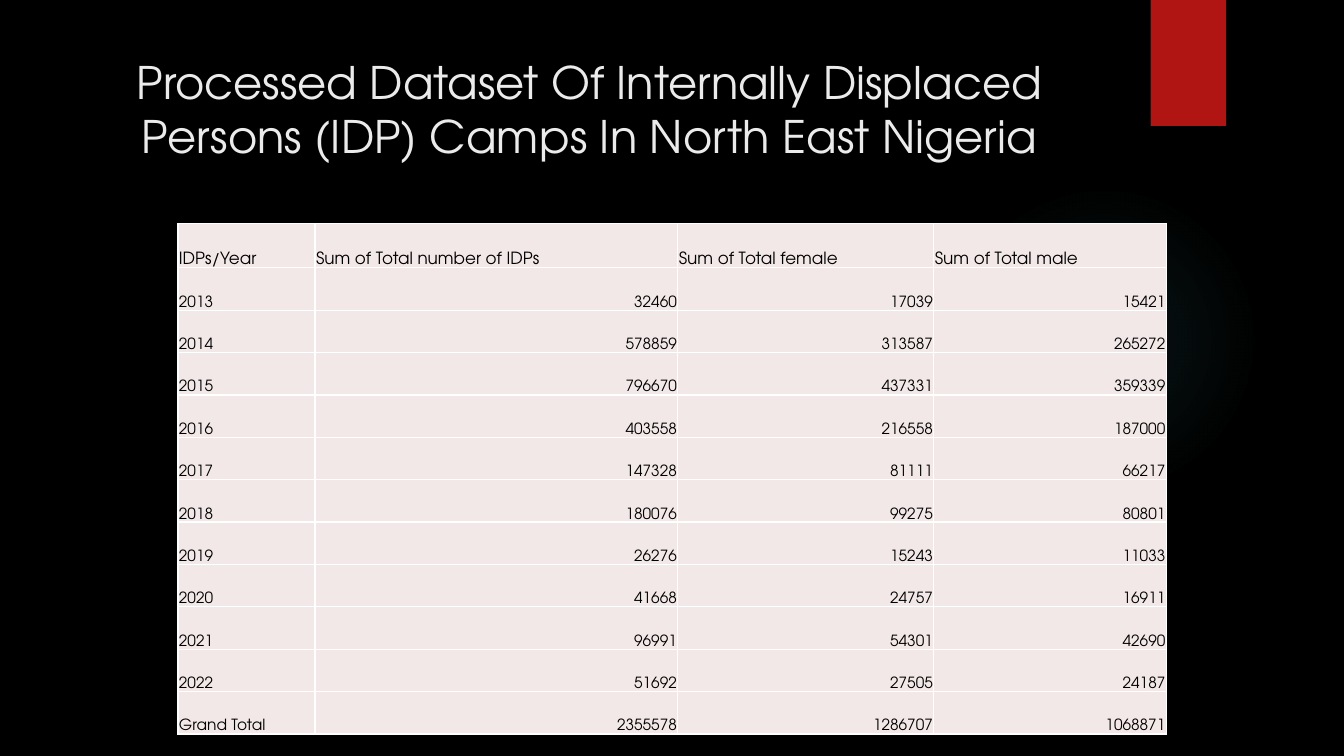
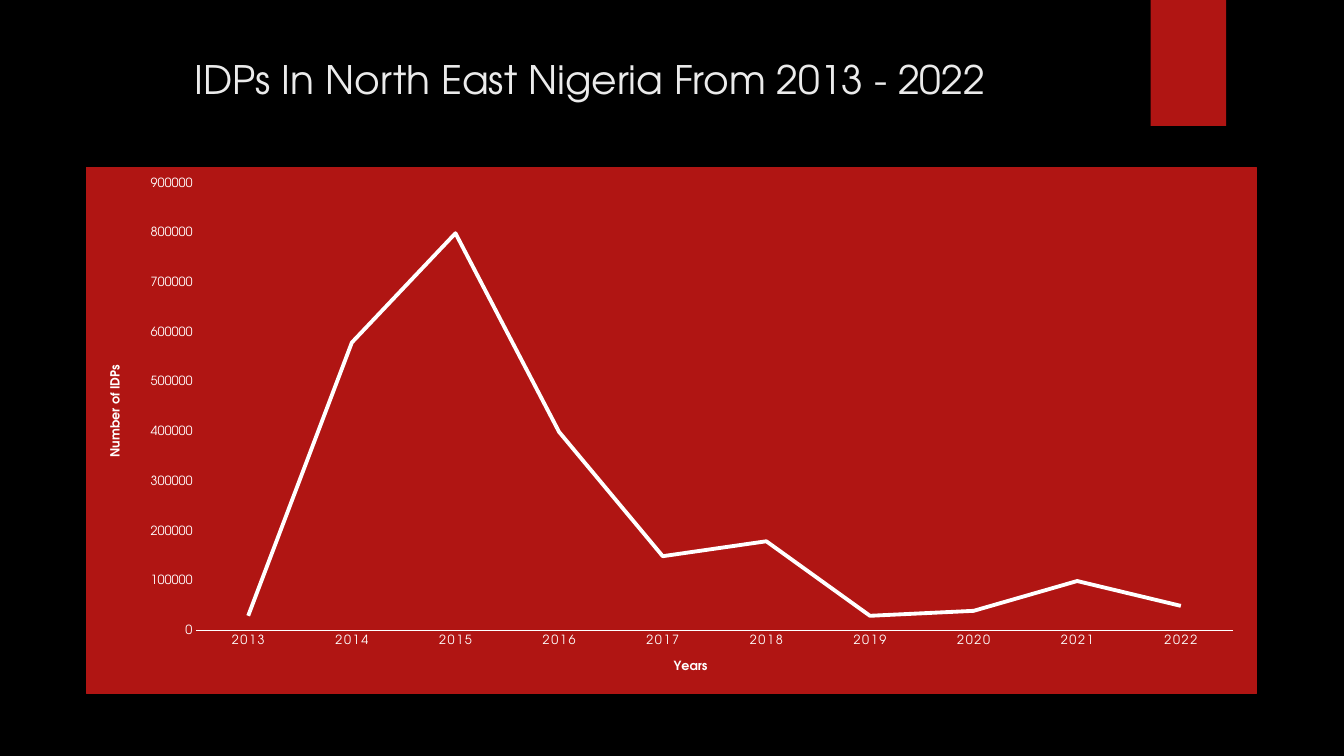
from lxml import etree
from pptx import Presentation
from pptx.chart.data import CategoryChartData
from pptx.dml.color import RGBColor
from pptx.enum.chart import XL_CHART_TYPE as ChartType, XL_TICK_MARK as TickMark
from pptx.enum.shapes import MSO_SHAPE as Shape
from pptx.enum.text import MSO_ANCHOR as Anchor, PP_ALIGN as Align
from pptx.oxml import parse_xml
from pptx.oxml.ns import nsdecls, qn
from pptx.util import Inches, Pt

FONT = "TeX Gyre Adventor"
COLORS = {
    "background": "000000",
    "title": "EBEBEB",
    "accent": "B01513",
    "glow": "50B9C1",
    "cell": "F2E8E7",
    "ink": "000000",
    "white": "FFFFFF",
}
RGB = {role: RGBColor.from_string(value) for role, value in COLORS.items()}

HEADINGS = ["IDPs/Year", "Sum of Total number of IDPs", "Sum of Total female", "Sum of Total male"]
CAMPS = [
    ("2013", 32460, 17039, 15421),
    ("2014", 578859, 313587, 265272),
    ("2015", 796670, 437331, 359339),
    ("2016", 403558, 216558, 187000),
    ("2017", 147328, 81111, 66217),
    ("2018", 180076, 99275, 80801),
    ("2019", 26276, 15243, 11033),
    ("2020", 41668, 24757, 16911),
    ("2021", 96991, 54301, 42690),
    ("2022", 51692, 27505, 24187),
]
GRAND_TOTAL = ("Grand Total", *(sum(year[i] for year in CAMPS) for i in (1, 2, 3)))
TITLES = [
    ("Processed Dataset Of Internally Displaced Persons (IDP) Camps In North East Nigeria", 32, 20.4),
    ("IDPs In North East Nigeria From 2013 - 2022", 28, 10.67),
]


def write(frame, text, size=11, color="ink", align=Align.LEFT, bold=False):
    paragraph = frame.paragraphs[0]
    paragraph.alignment = align
    run = paragraph.add_run()
    run.text = text
    run.font.name = FONT
    run.font.size = Pt(size)
    run.font.bold = bold
    run.font.color.rgb = RGB[color]


def arrange(part, index, **shares):
    for layout in part.findall(qn("c:layout")):
        part.remove(layout)
    layout = etree.Element(qn("c:layout"))
    manual = etree.SubElement(layout, qn("c:manualLayout"))
    if "w" in shares:
        etree.SubElement(manual, qn("c:layoutTarget")).set("val", "inner")
    for mode in ("xMode", "yMode"):
        etree.SubElement(manual, qn(f"c:{mode}")).set("val", "edge")
    for side, share in shares.items():
        etree.SubElement(manual, qn(f"c:{side}")).set("val", str(share))
    part.insert(index, layout)


deck = Presentation()
deck.slide_width, deck.slide_height = Inches(40) // 3, Inches(7.5)
column, row = deck.slide_width / 100, deck.slide_height / 100
backdrop = deck.slide_master.background.fill
backdrop.solid()
backdrop.fore_color.rgb = RGB["background"]

slides = []
for title, size, title_rows in TITLES:
    slide = deck.slides.add_slide(deck.slide_layouts[6])
    slides.append(slide)

    glow = slide.shapes.add_shape(
        Shape.OVAL, int(70.58 * column), int(24.4 * row), int(23.1 * column), int(41.07 * row))
    glow.fill.gradient()
    stops = "".join(
        f'<a:gs pos="{position}000"><a:srgbClr val="{COLORS["glow"]}">'
        f'<a:alpha val="{alpha}000"/></a:srgbClr></a:gs>'
        for position, alpha in ((0, 7), (36, 6), (69, 0)))
    gradient = glow.element.find(".//" + qn("a:gradFill"))
    gradient.getparent().replace(gradient, parse_xml(
        f'<a:gradFill {nsdecls("a")}><a:gsLst>{stops}</a:gsLst><a:path path="circle">'
        '<a:fillToRect l="50000" t="50000" r="50000" b="50000"/></a:path></a:gradFill>'))

    flag = slide.shapes.add_shape(
        Shape.RECTANGLE, int(85.62 * column), 0, int(5.62 * column), int(16.67 * row))
    flag.fill.solid()
    flag.fill.fore_color.rgb = RGB["accent"]
    for ornament in (glow, flag):
        ornament.line.fill.background()
        ornament.shadow.inherit = False

    heading = slide.shapes.add_textbox(
        int(5.3 * column), int(6.63 * row), int(77.18 * column), int(title_rows * row))
    heading.text_frame.word_wrap = True
    write(heading.text_frame, title, size=size, color="title", align=Align.CENTER)

dataset_slide, trend_slide = slides

records = [HEADINGS, *CAMPS, GRAND_TOTAL]
widths = [10.2, 27, 19.05, 17.3]
heights = [5.87] + [5.61] * (len(records) - 1)
dataset = dataset_slide.shapes.add_table(
    len(records), len(HEADINGS), int(13.24 * column), int(29.55 * row),
    int(sum(widths) * column), int(sum(heights) * row))
dataset.table.first_row = dataset.table.horz_banding = False
for field, width in zip(dataset.table.columns, widths):
    field.width = int(width * column)
for r, (record, height) in enumerate(zip(records, heights)):
    dataset.table.rows[r].height = int(height * row)
    for c, value in enumerate(record):
        cell = dataset.table.cell(r, c)
        cell.margin_left = cell.margin_right = cell.margin_top = Inches(0.01)
        cell.margin_bottom = 0
        cell.vertical_anchor = Anchor.BOTTOM
        cell.fill.solid()
        cell.fill.fore_color.rgb = RGB["cell"]
        write(cell.text_frame, str(value), size=11 if r else 12,
              align=Align.RIGHT if r and c else Align.LEFT)
for properties in dataset.element.iter(qn("a:tcPr")):
    for index, side in enumerate("LRTB"):
        properties.insert(index, parse_xml(
            f'<a:ln{side} {nsdecls("a")} w="{Pt(1)}"><a:solidFill>'
            f'<a:srgbClr val="{COLORS["white"]}"/></a:solidFill></a:ln{side}>'))

totals = CategoryChartData()
totals.categories = [year[0] for year in CAMPS]
totals.add_series("Series 1", [round(year[1], -4) for year in CAMPS])
trend = trend_slide.shapes.add_chart(
    ChartType.LINE, int(6.42 * column), int(22.13 * row),
    int(87.08 * column), int(69.73 * row), totals).chart
trend.has_title = trend.has_legend = False
trend.font.name = FONT
trend.font.size = Pt(10)
trend.font.color.rgb = RGB["white"]

accent_fill = f'<a:solidFill><a:srgbClr val="{COLORS["accent"]}"/></a:solidFill>'
trend.element.find(qn("c:chart")).addnext(parse_xml(
    f'<c:spPr {nsdecls("c", "a")}>{accent_fill}<a:ln w="{Pt(0.75)}">{accent_fill}</a:ln></c:spPr>'))

trend.plots[0].vary_by_categories = False
idps = trend.plots[0].series[0]
idps.smooth = False
idps.format.line.width = Pt(2.75)
idps.format.line.color.rgb = RGB["white"]

years, people = trend.category_axis, trend.value_axis
for axis, label in ((years, "Years"), (people, "Number of IDPs")):
    axis.has_major_gridlines = False
    axis.major_tick_mark = axis.minor_tick_mark = TickMark.NONE
    axis.tick_labels.font.name = FONT
    axis.tick_labels.font.size = Pt(9)
    axis.tick_labels.font.color.rgb = RGB["white"]
    write(axis.axis_title.text_frame, label, size=9, color="white", align=Align.CENTER, bold=True)
years.format.line.width = Pt(1)
years.format.line.color.rgb = RGB["white"]
people.format.line.fill.background()
people.minimum_scale, people.maximum_scale, people.major_unit = 0, 900000, 100000

trend.element.xpath(".//c:catAx/c:txPr//a:defRPr")[0].set("spc", "120")
plot_left = 3 / 32
arrange(trend.element.xpath(".//c:plotArea")[0], 0, x=plot_left, y=0.03, w=0.98 - plot_left, h=0.85)
arrange(trend.element.xpath(".//c:catAx/c:title")[0], 1, x=0.5, y=0.93)
arrange(trend.element.xpath(".//c:valAx/c:title")[0], 1, x=1 / 60, y=0.37)

deck.save("out.pptx")
